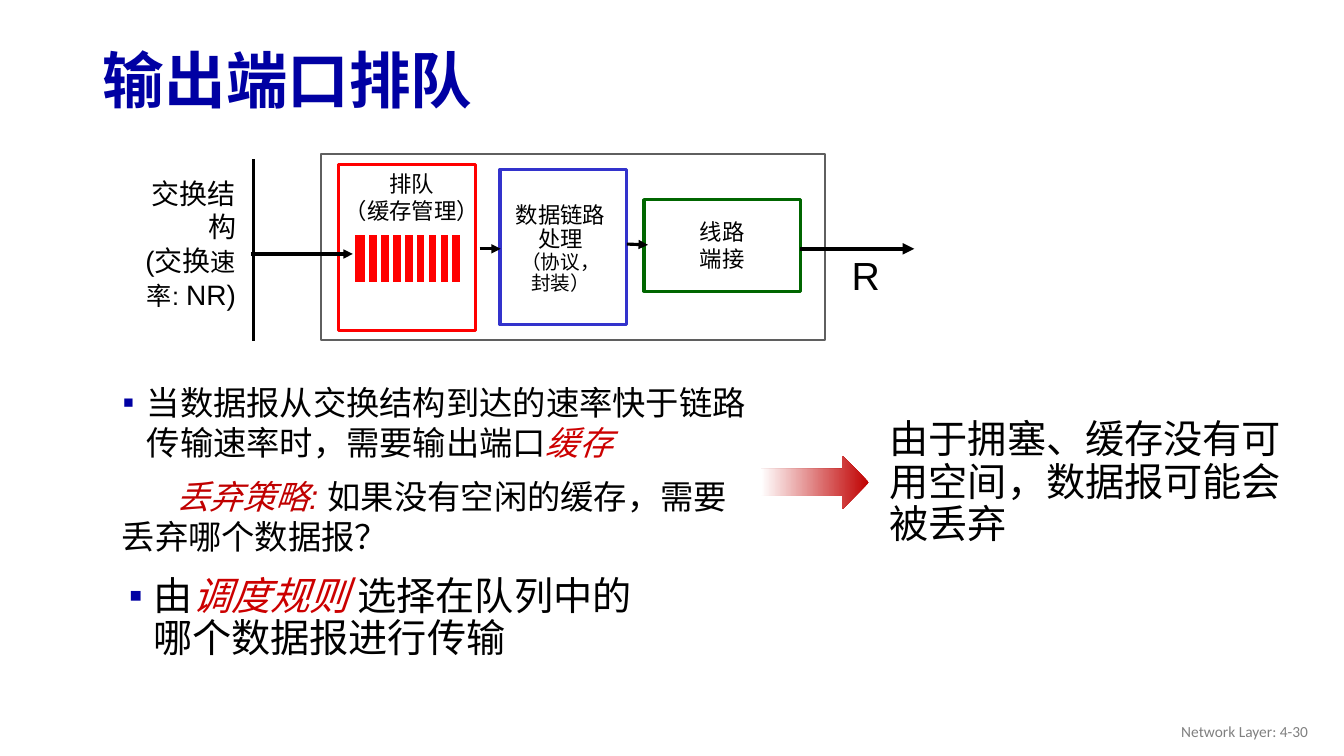
from lxml import etree
from pptx import Presentation
from pptx.dml.color import RGBColor
from pptx.enum import shapes, text
from pptx.oxml import ns
from pptx.util import Cm, Pt

BLACK, WHITE, NAVY, RED = "000000", "FFFFFF", "0000A3", "CC0000"
LEFT, CENTER, RIGHT = text.PP_ALIGN.LEFT, text.PP_ALIGN.CENTER, text.PP_ALIGN.RIGHT
TOP, MIDDLE = text.MSO_ANCHOR.TOP, text.MSO_ANCHOR.MIDDLE


def color(value):
    return RGBColor.from_string(value)


def write(shape, paragraphs, align=LEFT, anchor=TOP, wrap=True, spacing=1.0, font="Arial"):
    """Each paragraph is a list of runs: (text, size, colour[, italic])."""
    frame = shape.text_frame
    frame.word_wrap = wrap
    frame.vertical_anchor = anchor
    for index, runs in enumerate(paragraphs):
        paragraph = frame.add_paragraph() if index else frame.paragraphs[0]
        paragraph.alignment = align
        paragraph.line_spacing = spacing
        paragraph.space_before = Pt(0)
        for content, size, run_color, *italic in runs:
            run = paragraph.add_run()
            run.text = content
            run.font.name = font
            run.font.size = Pt(size)
            run.font.color.rgb = color(run_color)
            run.font.italic = bool(italic)


presentation = Presentation()
presentation.slide_width, presentation.slide_height = Cm(33.87), Cm(19.05)
slide = presentation.slides.add_slide(presentation.slide_layouts[5])

# Title
title = slide.shapes.title
title.left, title.top, title.width, title.height = Cm(2.34), Cm(0.86), Cm(29.21), Cm(2.49)
write(title, [[("输出端口排队", 44, NAVY)]], anchor=MIDDLE, spacing=0.9)
title.text_frame.paragraphs[0].runs[0].font.bold = True

# Port frame and its three stages: left, top, width, height, outline, line width
for left, top, width, height, outline, weight in [
    (8.1, 3.89, 12.7, 4.67, "5F5F5F", 1.5),
    (16.23, 5.03, 3.94, 2.31, "006600", 2.25),
    (12.6, 4.27, 3.2, 3.91, "3333CC", 2.25),
    (8.53, 4.14, 3.45, 4.19, "FF0000", 2.25),
    (8.89, 5.87, 2.77, 1.3, WHITE, 3),
]:
    box = slide.shapes.add_shape(
        shapes.MSO_SHAPE.RECTANGLE, Cm(left), Cm(top), Cm(width), Cm(height))
    box.shadow.inherit = False
    box.fill.solid()
    box.fill.fore_color.rgb = color(WHITE)
    box.line.color.rgb = color(outline)
    box.line.width = Pt(weight)
queue = box
queue.fill.fore_color.rgb = color("FF0000")

# Queue dividers, switch fabric and arrows: x1, y1, x2, y2, colour, width, arrow
lines = [(9.25 + 0.3 * i, 5.89, 9.25 + 0.3 * i, 7.14, WHITE, 3, False) for i in range(8)]
lines += [
    (6.38, 4.01, 6.38, 8.59, BLACK, 2.25, False),
    (6.32, 6.4, 8.89, 6.4, BLACK, 2.25, True),
    (12.09, 6.27, 12.62, 6.27, BLACK, 2.25, True),
    (15.8, 6.15, 16.33, 6.17, BLACK, 2.25, True),
    (20.17, 6.27, 23.04, 6.27, BLACK, 2.75, True),
]
for x1, y1, x2, y2, line_color, weight, arrow in lines:
    line = slide.shapes.add_connector(
        shapes.MSO_CONNECTOR.STRAIGHT, Cm(x1), Cm(y1), Cm(x2), Cm(y2))
    line.line.color.rgb = color(line_color)
    line.line.width = Pt(weight)
    if arrow:
        etree.SubElement(line.line._get_or_add_ln(), ns.qn("a:tailEnd"), type="triangle")
    etree.SubElement(line._element.spPr, ns.qn("a:effectLst"))

# Diagram labels: left, top, width, height, paragraphs, text options
for left, top, width, height, paragraphs, options in [
    (3.28, 4.98, 2.92, 2.31,
     [[("交换结构", 20, BLACK)],
      [("(交换", 20, BLACK), ("速率: ", 18, BLACK), ("NR)", 20, BLACK)]],
     dict(align=RIGHT, anchor=MIDDLE, wrap=False)),
    (8.41, 4.17, 3.94, 1.63, [[("排队", 16, BLACK)], [("（缓存管理）", 16, BLACK)]],
     dict(align=CENTER, wrap=False)),
    (12.67, 5.13, 2.92, 2.31,
     [[("数据链路", 16, BLACK)], [("处理", 16, BLACK)], [("（协议，封装）", 14, BLACK)]],
     dict(align=CENTER, anchor=MIDDLE, wrap=False, spacing=0.9)),
    (16.23, 5.03, 3.94, 2.31, [[("线路", 16, BLACK)], [("端接", 16, BLACK)]],
     dict(align=CENTER, anchor=MIDDLE, wrap=False)),
    (21.21, 6.22, 0.89, 1.45, [[("R", 28, BLACK)]], dict(wrap=False)),
    (22.17, 10.46, 10.97, 3.48,
     [[("由于拥塞、缓存没有可用空间，数据报可能会被丢弃", 28, BLACK)]], dict(spacing=0.9)),
    (25.6, 17.91, 7.62, 1.02, [[("Network Layer: 4-30", 11, "808080")]],
     dict(align=RIGHT, anchor=MIDDLE, font="Calibri")),
]:
    label = slide.shapes.add_textbox(Cm(left), Cm(top), Cm(width), Cm(height))
    write(label, paragraphs, **options)

# Explanations on buffering and scheduling
buffering = slide.shapes.add_textbox(Cm(2.46), Cm(9.5), Cm(16.61), Cm(4.95))
write(buffering, [
    [("当数据报从交换结构到达的速率快于链路传输速率时，需要输出端口", 23.8, BLACK),
     ("缓存", 23.8, RED, True)],
    [("丢弃策略: ", 23.8, "C00000", True),
     ("如果没有空闲的缓存，需要丢弃哪个数据报？", 23.8, BLACK)],
])
scheduling = slide.shapes.add_textbox(Cm(2.62), Cm(14.4), Cm(14.25), Cm(3.58))
write(scheduling, [
    [("由", 28, BLACK), ("调度规则 ", 28, RED, True),
     ("选择在队列中的哪个数据报进行传输", 28, BLACK)],
], spacing=0.9)

# Square bullets and indents
for box in (buffering, scheduling):
    properties = box.text_frame.paragraphs[0]._p.get_or_add_pPr()
    properties.set("marL", str(Cm(0.99)))
    properties.set("indent", str(Cm(-0.61)))
    bullet_color = etree.SubElement(properties, ns.qn("a:buClr"))
    etree.SubElement(bullet_color, ns.qn("a:srgbClr"), val=NAVY)
    etree.SubElement(properties, ns.qn("a:buFont"), typeface="Arial")
    etree.SubElement(properties, ns.qn("a:buChar"), char="▪")
drop_policy = buffering.text_frame.paragraphs[1]
drop_policy.space_before = Pt(10)
properties = drop_policy._p.get_or_add_pPr()
properties.set("marL", str(Cm(0.36)))
properties.set("indent", str(Cm(1.37)))

# Fading arrow to the consequence
arrow = slide.shapes.add_shape(
    shapes.MSO_SHAPE.RIGHT_ARROW, Cm(19.18), Cm(11.48), Cm(2.72), Cm(1.35))
arrow.shadow.inherit = False
arrow.line.fill.background()
arrow.fill.gradient()
arrow.fill.gradient_angle = 180
for stop, stop_color in zip(arrow.fill.gradient_stops, ("C00000", WHITE)):
    stop.color.rgb = color(stop_color)

presentation.save("out.pptx")
